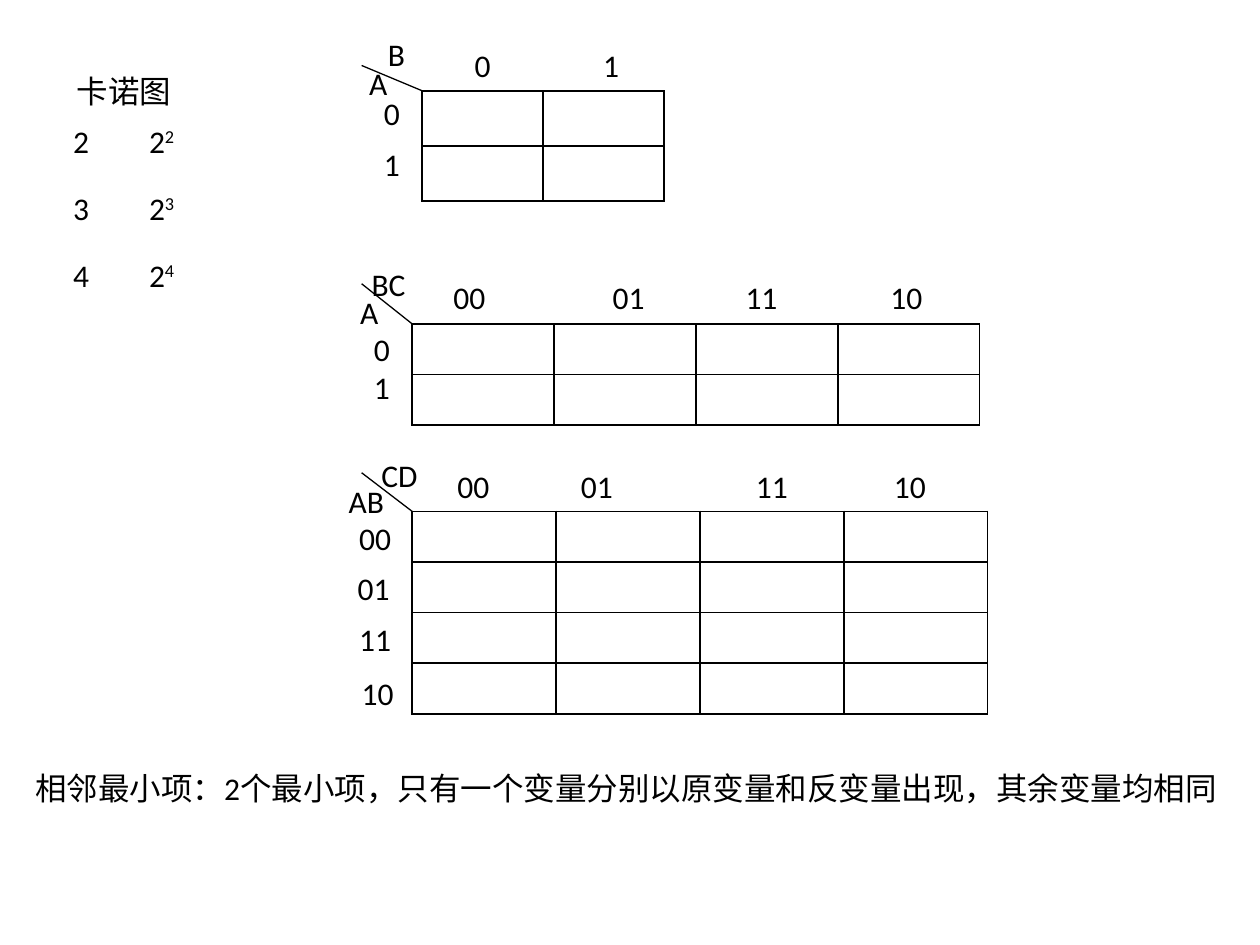
"""Build a slide that introduces Karnaugh maps of two, three and four variables."""
from dataclasses import dataclass

import lxml.etree
import pptx
import pptx.dml.color
import pptx.enum.shapes
import pptx.oxml.ns
import pptx.util

Cm = pptx.util.Cm
Pt = pptx.util.Pt
qn = pptx.oxml.ns.qn
BLACK = pptx.dml.color.RGBColor(0, 0, 0)
FONT = "Calibri"
LINE_HEIGHT = 1.02


@dataclass(frozen=True)
class Label:
    text: str
    left: float
    top: float
    width: float = 0.84
    height: float = LINE_HEIGHT
    wrap: bool = False
    tabs: tuple[float, ...] = ()


@dataclass(frozen=True)
class KarnaughMap:
    left: float
    top: float
    rows: int
    columns: int
    column_width: float
    row_height: float
    diagonal_end: tuple[float, float]
    labels: tuple[Label, ...]


MAPS = (
    KarnaughMap(8.51, 1.83, 2, 2, 2.44, 1.11, (7.29, 1.32), (
        Label("A", 7.19, 1.17, 0.89),
        Label("B", 7.57, 0.58, 0.86),
        Label("0", 9.32, 0.81),
        Label("1", 11.91, 0.81),
        Label("0", 7.49, 1.78),
        Label("1", 7.49, 2.79),
    )),
    KarnaughMap(8.31, 6.53, 2, 4, 2.86, LINE_HEIGHT, (7.29, 5.72), (
        Label("A", 7.01, 5.79, 0.89),
        Label("BC", 7.24, 5.21, 1.19),
        Label("00\t01\t11\t10", 8.89, 5.49, 10.16, wrap=True, tabs=(3.21, 5.89, 8.81)),
        Label("0\n1", 7.29, 6.53, height=1.8),
    )),
    KarnaughMap(8.31, 10.31, 4, 4, 2.9, LINE_HEIGHT, (7.29, 9.53), (
        Label("AB", 6.78, 9.6, 1.22),
        Label("CD", 7.44, 9.07, 1.24),
        Label("00\t01\t11\t10", 8.97, 9.3, 10.16, wrap=True, tabs=(2.49, 6.02, 8.8)),
        Label("00", 6.99, 10.34, 1.17),
        Label("01", 6.96, 11.35, 1.17),
        Label("11", 6.99, 12.37, 1.17),
        Label("10", 7.04, 13.46, 1.17),
    )),
)
TITLE = Label("卡诺图", 1.3, 1.32, 2.44)
DEFINITION = Label("相邻最小项：2个最小项，只有一个变量分别以原变量和反变量出现，其余变量均相同",
                   0.46, 15.37, 24.56, 1.8, wrap=True)
VARIABLE_COUNTS = ("2", "3", "4")


def add_span(para, text: str, superscript: bool = False) -> None:
    span = para.add_run()
    span.text = text
    span.font.name = FONT
    span.font.size = Pt(18)
    span.font.color.rgb = BLACK
    if superscript:
        span._r.get_or_add_rPr().set("baseline", "30000")


def add_label(page, label: Label) -> None:
    box = page.shapes.add_textbox(Cm(label.left), Cm(label.top), Cm(label.width), Cm(label.height))
    frame = box.text_frame
    frame.word_wrap = label.wrap
    for index, line in enumerate(label.text.split("\n")):
        para = frame.add_paragraph() if index else frame.paragraphs[0]
        if label.tabs:
            tab_list = lxml.etree.SubElement(para._p.get_or_add_pPr(), qn("a:tabLst"))
            for position in label.tabs:
                lxml.etree.SubElement(tab_list, qn("a:tab"), pos=str(Cm(position)), algn="l")
        add_span(para, line)


def style_cell(cell, bordered: bool) -> None:
    properties = cell._tc.get_or_add_tcPr()
    for side in ("lnL", "lnR", "lnT", "lnB"):
        border = lxml.etree.SubElement(properties, qn(f"a:{side}"), w=str(Pt(1)))
        if bordered:
            fill = lxml.etree.SubElement(border, qn("a:solidFill"))
            lxml.etree.SubElement(fill, qn("a:srgbClr"), val=str(BLACK))
        else:
            lxml.etree.SubElement(border, qn("a:noFill"))
    cell.fill.background()


def add_grid(page, left: float, top: float, rows: int, columns: int,
             column_width: float, row_height: float, bordered: bool):
    grid = page.shapes.add_table(rows, columns, Cm(left), Cm(top),
                                 Cm(columns * column_width), Cm(rows * row_height)).table
    grid.first_row = False
    grid.horz_banding = False
    for column in grid.columns:
        column.width = Cm(column_width)
    for row in grid.rows:
        row.height = Cm(row_height)
    for cell in grid.iter_cells():
        style_cell(cell, bordered)
    return grid


def add_map(page, karnaugh: KarnaughMap) -> None:
    add_grid(page, karnaugh.left, karnaugh.top, karnaugh.rows, karnaugh.columns,
             karnaugh.column_width, karnaugh.row_height, bordered=True)
    end_x, end_y = karnaugh.diagonal_end
    diagonal = page.shapes.add_connector(pptx.enum.shapes.MSO_CONNECTOR.STRAIGHT,
                                         Cm(karnaugh.left), Cm(karnaugh.top), Cm(end_x), Cm(end_y))
    diagonal.line.color.rgb = BLACK
    diagonal.line.width = Pt(0.75)
    lxml.etree.SubElement(diagonal._element.spPr, qn("a:effectLst"))
    for label in karnaugh.labels:
        add_label(page, label)


def add_powers(page) -> None:
    grid = add_grid(page, 1.22, 2.36, len(VARIABLE_COUNTS), 2, 1.53, 1.35, bordered=False)
    for row, count in enumerate(VARIABLE_COUNTS):
        add_span(grid.cell(row, 0).text_frame.paragraphs[0], count)
        power = grid.cell(row, 1).text_frame.paragraphs[0]
        add_span(power, "2")
        add_span(power, count, superscript=True)


def main() -> None:
    deck = pptx.Presentation()
    deck.slide_width = Cm(25.4)
    deck.slide_height = Cm(19.05)
    page = deck.slides.add_slide(deck.slide_layouts[6])
    add_label(page, TITLE)
    add_powers(page)
    for karnaugh in MAPS:
        add_map(page, karnaugh)
    add_label(page, DEFINITION)
    deck.save("out.pptx")


if __name__ == "__main__":
    main()
